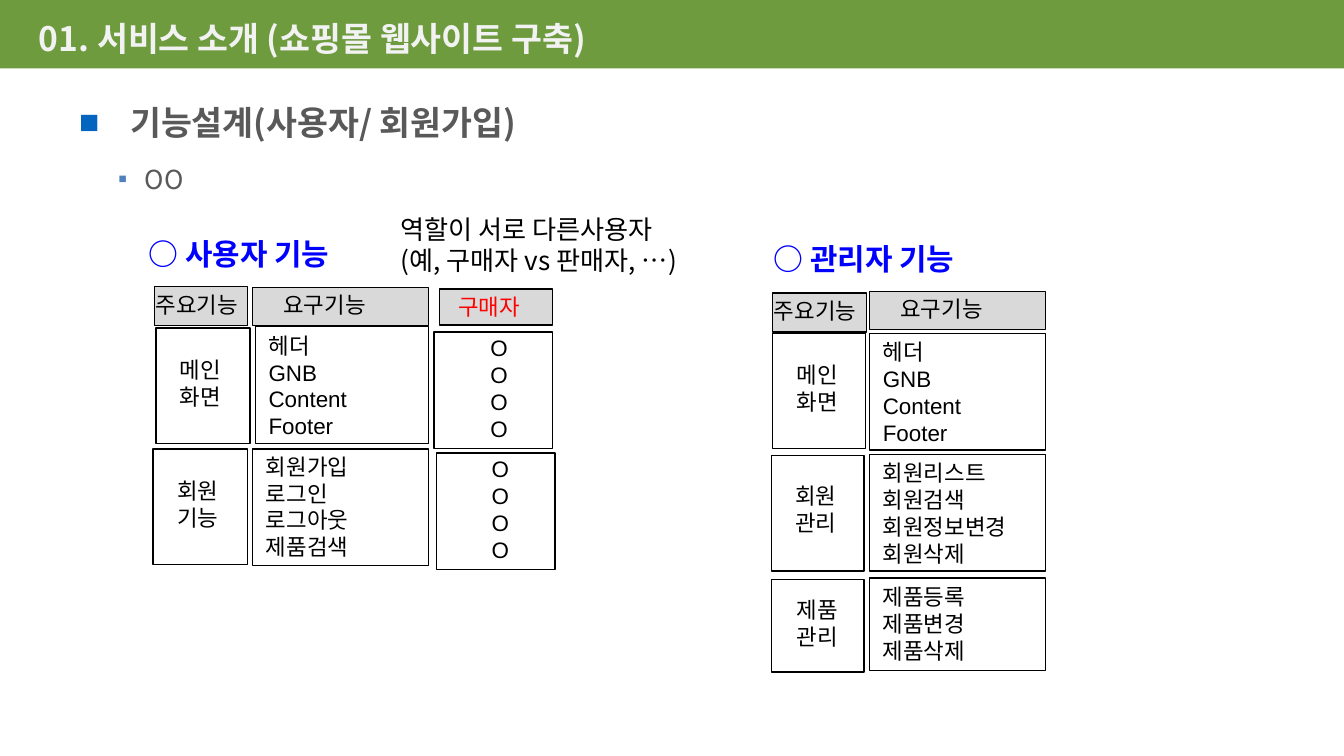
from pptx import Presentation
from pptx.dml.color import RGBColor
from pptx.enum.shapes import MSO_SHAPE as Shape
from pptx.enum.text import MSO_ANCHOR as Anchor, MSO_AUTO_SIZE as AutoSize, PP_ALIGN as Align
from pptx.oxml.ns import qn
from pptx.util import Inches, Pt
from lxml.etree import SubElement

COLORS = {
    "bar": "6D9B3E", "title": "F2F2F2", "heading": "595959",
    "bullet": "0365C0", "sub_bullet": "4F81BD", "header": "D9D9D9",
    "black": "000000", "red": "FF0000", "blue": "0000FF",
}
KOREAN = "Noto Sans CJK KR"
LATIN = "Arial"

# Each cell: box (left, top, width, height), label (left, top, width), lines
USER_HEADERS = [
    ((1.15, 2.13, 0.69, 0.29), (1.06, 2.12, 0.88), ["주요기능"], "black"),
    ((1.88, 2.14, 1.31, 0.28), (2.01, 2.12, 0.88), ["요구기능"], "black"),
    ((3.27, 2.15, 0.84, 0.27), (3.31, 2.13, 0.71), ["구매자"], "red"),
]
USER_CELLS = [
    ((1.16, 2.44, 0.7, 0.86), (1.24, 2.6, 0.54), ["메인", "화면"]),
    ((1.9, 2.43, 1.29, 0.87), (1.9, 2.42, 0.79), ["헤더", "GNB", "Content", "Footer"]),
    ((3.23, 2.47, 0.88, 0.87), (3.55, 2.44, 0.33), ["O"] * 4),
    ((1.14, 3.34, 0.7, 0.86), (1.22, 3.5, 0.54), ["회원", "기능"]),
    ((1.88, 3.34, 1.31, 0.87), (1.88, 3.32, 0.88), ["회원가입", "로그인", "로그아웃", "제품검색"]),
    ((3.25, 3.37, 0.88, 0.87), (3.56, 3.34, 0.33), ["O"] * 4),
]
ADMIN_HEADERS = [
    ((5.75, 2.18, 0.7, 0.29), (5.66, 2.16, 0.88), ["주요기능"], "black"),
    ((6.47, 2.17, 1.31, 0.28), (6.6, 2.15, 0.88), ["요구기능"], "black"),
]
ADMIN_CELLS = [
    ((5.75, 2.48, 0.69, 0.86), (5.83, 2.64, 0.54), ["메인", "화면"]),
    ((6.47, 2.48, 1.31, 0.87), (6.47, 2.47, 0.79), ["헤더", "GNB", "Content", "Footer"]),
    ((5.74, 3.39, 0.69, 0.86), (5.82, 3.54, 0.54), ["회원", "관리"]),
    ((6.47, 3.38, 1.31, 0.87), (6.47, 3.37, 1.21),
     ["회원리스트", "회원검색", "회원정보변경", "회원삭제"]),
    ((5.74, 4.31, 0.69, 0.69), (5.83, 4.39, 0.54), ["제품", "관리"]),
    ((6.47, 4.3, 1.31, 0.69), (6.47, 4.29, 0.88), ["제품등록", "제품변경", "제품삭제"]),
]


def rgb(name):
    return RGBColor.from_string(COLORS[name])


def add_run(paragraph, text, size, color, font=KOREAN, bold=False):
    run = paragraph.add_run()
    run.text = text
    run.font.size = Pt(size)
    run.font.bold = bold
    run.font.name = font
    run.font.color.rgb = rgb(color)
    SubElement(run.font._element, qn("a:ea")).set("typeface", KOREAN)


def add_rect(slide, box, fill=None, line=None):
    rect = slide.shapes.add_shape(Shape.RECTANGLE, *map(Inches, box))
    rect.shadow.inherit = False
    if fill:
        rect.fill.solid()
        rect.fill.fore_color.rgb = rgb(fill)
    else:
        rect.fill.background()
    if line:
        rect.line.color.rgb = rgb(line)
        rect.line.width = Pt(0.75)
    else:
        rect.line.fill.background()
    return rect


def add_text(slide, box, lines, size, leading, color="black", font=KOREAN,
             bold=False, wrap=True):
    frame = slide.shapes.add_textbox(*map(Inches, box)).text_frame
    frame.word_wrap = wrap
    frame.auto_size = AutoSize.SHAPE_TO_FIT_TEXT
    for i, text in enumerate(lines):
        paragraph = frame.add_paragraph() if i else frame.paragraphs[0]
        paragraph.line_spacing = Pt(leading)
        add_run(paragraph, text, size, color, font, bold)


def add_cell(slide, box, label, lines, color="black", fill=None):
    add_rect(slide, box, fill, "black")
    height = 0.1 + 0.2 * len(lines)
    add_text(slide, (*label, height), lines, 12, 14.4, color, LATIN, wrap=False)


def add_grid(slide, headers, cells):
    for box, label, lines, color in headers:
        add_cell(slide, box, label, lines, color, "header")
    for box, label, lines in cells:
        add_cell(slide, box, label, lines)


def set_bullet(paragraph, char, color, left, indent):
    props = paragraph._p.get_or_add_pPr()
    props.set("marL", str(Inches(left)))
    props.set("indent", str(Inches(indent)))
    bullet_color = SubElement(props, qn("a:buClr"))
    SubElement(bullet_color, qn("a:srgbClr")).set("val", COLORS[color])
    SubElement(props, qn("a:buFont")).set("typeface", LATIN)
    SubElement(props, qn("a:buChar")).set("char", char)


def add_title(slide, text):
    title = slide.shapes.title
    title.left, title.top, title.width, title.height = map(Inches, (0.23, 0.13, 5.38, 0.31))
    frame = title.text_frame
    frame.margin_left = frame.margin_right = Inches(0.06)
    frame.margin_top = frame.margin_bottom = Inches(0)
    frame.vertical_anchor = Anchor.MIDDLE
    frame.word_wrap = True
    frame.paragraphs[0].alignment = Align.LEFT
    add_run(frame.paragraphs[0], text, 18, "title", bold=True)
    # The green bar goes behind the title
    bar = add_rect(slide, (0, 0, 10, 0.51), "bar")
    title._element.addprevious(bar._element)


def add_outline(slide):
    frame = slide.shapes.add_textbox(*map(Inches, (0.49, 0.56, 8.07, 1.04))).text_frame
    frame.word_wrap = True
    heading = frame.paragraphs[0]
    heading.line_spacing = Pt(32.5)
    set_bullet(heading, "■", "bullet", 0.38, -0.38)
    add_run(heading, "기능설계(사용자/ 회원가입)", 18, "heading", bold=True)
    detail = frame.add_paragraph()
    detail.level = 1
    detail.line_spacing = Pt(25)
    detail.space_before = Pt(2.8)
    set_bullet(detail, "▪", "sub_bullet", 0.49, -0.2)
    add_run(detail, "OO", 14, "heading")


def main():
    prs = Presentation()
    # Widescreen, 16:9
    prs.slide_width = Inches(10)
    prs.slide_height = prs.slide_width * 9 // 16
    slide = prs.slides.add_slide(prs.slide_layouts[5])

    # Title and outline
    add_title(slide, "01. 서비스 소개 (쇼핑몰 웹사이트 구축)")
    add_outline(slide)

    # User functions
    add_text(slide, (1.01, 1.69, 2.71, 0.37), ["○ 사용자 기능"], 16, 20, "blue", bold=True)
    add_text(slide, (2.88, 1.54, 2.71, 0.57),
             ["역할이 서로 다른사용자", "(예, 구매자 vs 판매자, …)"], 14, 16.6)
    add_grid(slide, USER_HEADERS, USER_CELLS)

    # Administrator functions
    add_text(slide, (5.66, 1.74, 2.72, 0.37), ["○ 관리자 기능"], 16, 19.5, "blue", bold=True)
    add_grid(slide, ADMIN_HEADERS, ADMIN_CELLS)

    prs.save("out.pptx")


if __name__ == "__main__":
    main()
